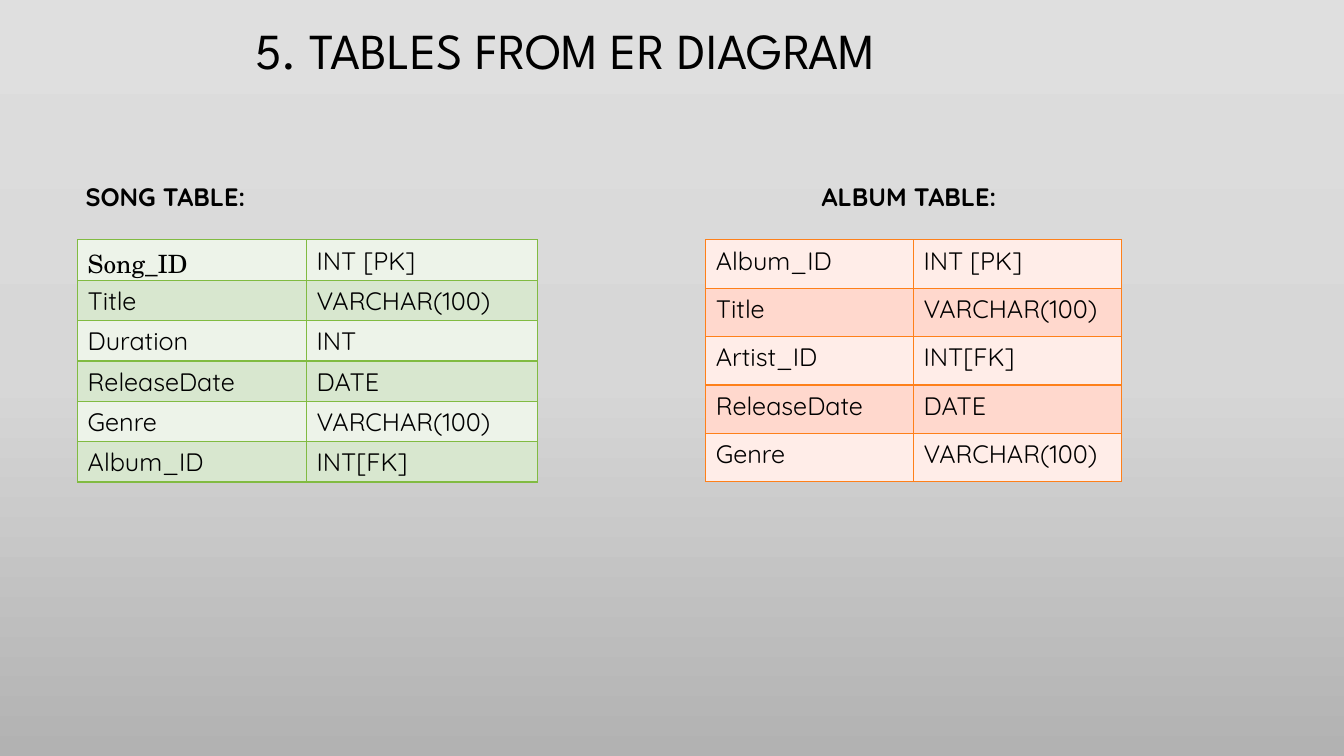
from dataclasses import dataclass

from lxml import etree
from pptx import Presentation
from pptx import oxml as ox
from pptx import util as u
from pptx.dml import color as col
from pptx.enum import text as tx
from pptx.oxml import ns


@dataclass(frozen=True)
class Theme:
    ink: str = "000000"
    back: tuple = ((0, "DFDFDF"), (50, "D7D7D7"), (100, "B2B2B2"))
    green: tuple = ("81BB42", "EDF3E9", "D8E7CF")  # line, odd row, even row
    orange: tuple = ("FE801A", "FFEDE8", "FFD8CD")
    head: str = "League Spartan"
    body: str = "Quicksand"
    serif: str = "TeX Gyre Schola"
    big: int = 36
    base: int = 18
    line: int = 1


T = Theme()


def write(frame, words, size=T.base, font=T.body, bold=False,
          align=tx.PP_ALIGN.LEFT, space=None):
    para = frame.paragraphs[0]
    para.alignment = align
    para.line_spacing = space
    run = para.add_run()
    run.text = words
    run.font.size = u.Pt(size)
    run.font.name = font
    run.font.bold = bold
    run.font.color.rgb = col.RGBColor.from_string(T.ink)


def label(slide, box, words, anchor=tx.MSO_ANCHOR.TOP, **form):
    frame = slide.shapes.add_textbox(*map(u.Inches, box)).text_frame
    frame.word_wrap = True
    frame.vertical_anchor = anchor
    write(frame, words, **form)


def paint(slide):
    # Three-stop gradient running from top to bottom
    fill = slide.background.fill
    fill.gradient()
    fill.gradient_angle = 270
    stops = slide.element.find(".//" + ns.qn("a:gsLst"))
    for old in list(stops):
        stops.remove(old)
    for place, tint in T.back:
        stop = etree.SubElement(stops, ns.qn("a:gs"), pos=str(place * 1000))
        etree.SubElement(stop, ns.qn("a:srgbClr"), val=tint)


def border(cell, tint):
    props = cell._tc.get_or_add_tcPr()
    for side in "LRTB":
        props.append(ox.parse_xml(
            f'<a:ln{side} {ns.nsdecls("a")} w="{u.Pt(T.line)}">'
            f'<a:solidFill><a:srgbClr val="{tint}"/></a:solidFill></a:ln{side}>'))


def grid(slide, box, cols, rows, tints, high, fonts):
    shape = slide.shapes.add_table(len(rows), len(cols), *map(u.Inches, box))
    table = shape.table
    table.first_row = table.horz_banding = False
    for part, wide in zip(table.columns, cols):
        part.width = u.Inches(wide)
    for r, row in enumerate(rows):
        table.rows[r].height = u.Inches(high)
        for c, words in enumerate(row):
            cell = table.cell(r, c)
            border(cell, tints[0])
            cell.fill.solid()
            cell.fill.fore_color.rgb = col.RGBColor.from_string(tints[1 + r % 2])
            write(cell.text_frame, words, font=fonts.get(words, T.body))


def entity(slide, box, name, shift, wide, cols, rows, tints, high, fonts={}):
    # Caption above, field table below
    left, top, width, height = box
    label(slide, (left + shift, top, wide, 0.4), name, bold=True)
    grid(slide, (left, top + 0.63, width, height - 0.63),
         cols, rows, tints, high, fonts)


SONG = [("Song_ID", "INT [PK]"), ("Title", "VARCHAR(100)"),
        ("Duration", "INT"), ("ReleaseDate", "DATE"),
        ("Genre", "VARCHAR(100)"), ("Album_ID", "INT[FK]")]
ALBUM = [("Album_ID", "INT [PK]"), ("Title", "VARCHAR(100)"),
         ("Artist_ID", "INT[FK]"), ("ReleaseDate", "DATE"),
         ("Genre", "VARCHAR(100)")]


def main():
    deck = Presentation()
    deck.slide_width, deck.slide_height = u.Inches(13.33), u.Inches(7.5)
    slide = deck.slides.add_slide(deck.slide_layouts[6])
    paint(slide)

    # Title
    label(slide, (0, 0.35, 8.78, 0.35), "5. TABLES FROM ER DIAGRAM",
          anchor=tx.MSO_ANCHOR.MIDDLE, size=T.big, font=T.head,
          align=tx.PP_ALIGN.RIGHT, space=0.9)

    # Song on the left, album on the right
    entity(slide, (0.77, 1.75, 4.56, 3.03), "SONG TABLE:", -0.02, 2.27,
           (2.27, 2.29), SONG, T.green, 0.36, {"Song_ID": T.serif})
    entity(slide, (7, 1.75, 4.11, 3.03), "ALBUM TABLE:", 1.05, 4.31,
           (2.06, 2.06), ALBUM, T.orange, 0.48)
    deck.save("out.pptx")


if __name__ == "__main__":
    main()
